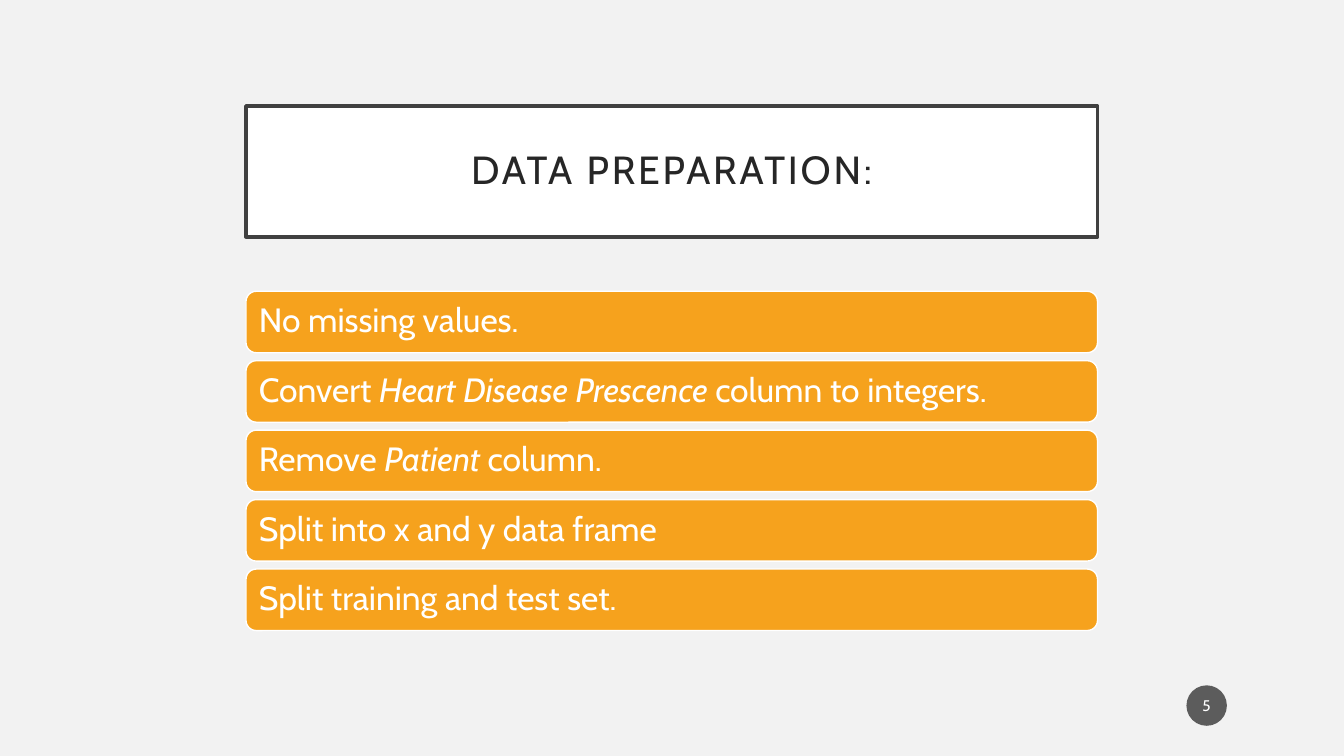
from lxml import etree
from pptx import Presentation
from pptx.dml.color import RGBColor
from pptx.enum.shapes import MSO_SHAPE
from pptx.enum.text import MSO_ANCHOR, PP_ALIGN
from pptx.oxml.ns import qn
from pptx.util import Cm, Pt

RECTANGLE = MSO_SHAPE.RECTANGLE
ROUNDED = MSO_SHAPE.ROUNDED_RECTANGLE
OVAL = MSO_SHAPE.OVAL
MIDDLE = MSO_ANCHOR.MIDDLE
LEFT = PP_ALIGN.LEFT
CENTER = PP_ALIGN.CENTER

PAPER = RGBColor(0xF2, 0xF2, 0xF2)
WHITE = RGBColor(0xFF, 0xFF, 0xFF)
INK = RGBColor(0x26, 0x26, 0x26)
FRAME = RGBColor(0x40, 0x40, 0x40)
ORANGE = RGBColor(0xF6, 0xA2, 0x1D)
BADGE = RGBColor(0x1D, 0x1D, 0x1D)

COLUMN_LEFT, COLUMN_WIDTH = 6.2, 21.46
STEP_TOP, STEP_HEIGHT, STEP_PITCH = 7.34, 1.55, 1.75

STEPS = [
    [("No missing values.", False)],
    [("Convert ", False), ("Heart Disease Prescence ", True), ("column to integers.", False)],
    [("Remove ", False), ("Patient ", True), ("column.", False)],
    [("Split into x and y data frame", False)],
    [("Split training and test set.", False)],
]


class SlideBuilder:
    font_name = "Cabin"

    def __init__(self, page):
        self.page = page
        page.background.fill.solid()
        page.background.fill.fore_color.rgb = PAPER

    def shape(self, kind, left, top, width, height, fill, line=None, line_width=0):
        box = self.page.shapes.add_shape(kind, Cm(left), Cm(top), Cm(width), Cm(height))
        box.shadow.inherit = False
        box.fill.solid()
        box.fill.fore_color.rgb = fill
        if line is None:
            box.line.fill.background()
        else:
            box.line.color.rgb = line
            box.line.width = Pt(line_width)
        return box

    def text(self, box, spans, size, color, align, inset, spacing=1.0, tracking=0):
        frame = box.text_frame
        frame.word_wrap = True
        frame.vertical_anchor = MIDDLE
        frame.margin_left = frame.margin_right = Cm(inset)
        frame.margin_top = frame.margin_bottom = Cm(inset)
        para = frame.paragraphs[0]
        para.alignment = align
        para.line_spacing = spacing
        for words, italic in spans:
            span = para.add_run()
            span.text = words
            span.font.name = self.font_name
            span.font.size = Pt(size)
            span.font.italic = italic
            span.font.color.rgb = color
            if tracking:
                span.font._element.set("spc", str(tracking * 100))

    def title(self, words):
        box = self.shape(RECTANGLE, COLUMN_LEFT, 2.67, COLUMN_WIDTH, 3.3, WHITE, FRAME, 2.5)
        self.text(box, [(words, False)], 28, INK, CENTER, 0.5, 0.9, 2)

    def step(self, top, spans):
        bar = self.shape(ROUNDED, COLUMN_LEFT, top, COLUMN_WIDTH, STEP_HEIGHT, ORANGE, WHITE, 1)
        self.text(bar, spans, 24, WHITE, LEFT, 0.25, 0.9)

    def page_number(self, number):
        badge = self.shape(OVAL, 29.9, 17.27, 1.02, 1.02, BADGE)
        color = badge.fill._xPr.find(qn("a:solidFill"))[0]
        etree.SubElement(color, qn("a:alpha")).set("val", "70000")
        self.text(badge, [(number, False)], 11, WHITE, CENTER, 0.05)


def main():
    deck = Presentation()
    deck.slide_width, deck.slide_height = Cm(33.87), Cm(19.05)
    builder = SlideBuilder(deck.slides.add_slide(deck.slide_layouts[6]))
    builder.title("DATA PREPARATION:")
    for index, spans in enumerate(STEPS):
        builder.step(STEP_TOP + index * STEP_PITCH, spans)
    builder.page_number("5")
    deck.save("out.pptx")


if __name__ == "__main__":
    main()
